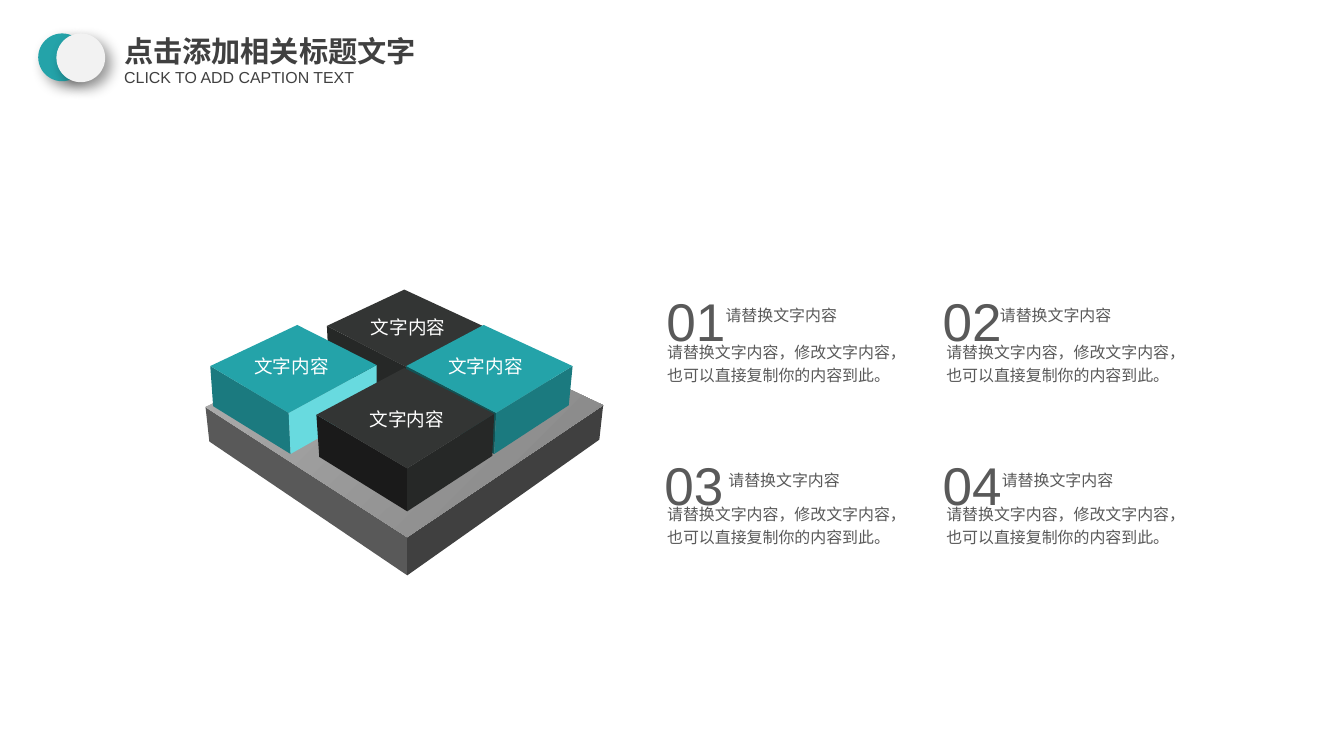
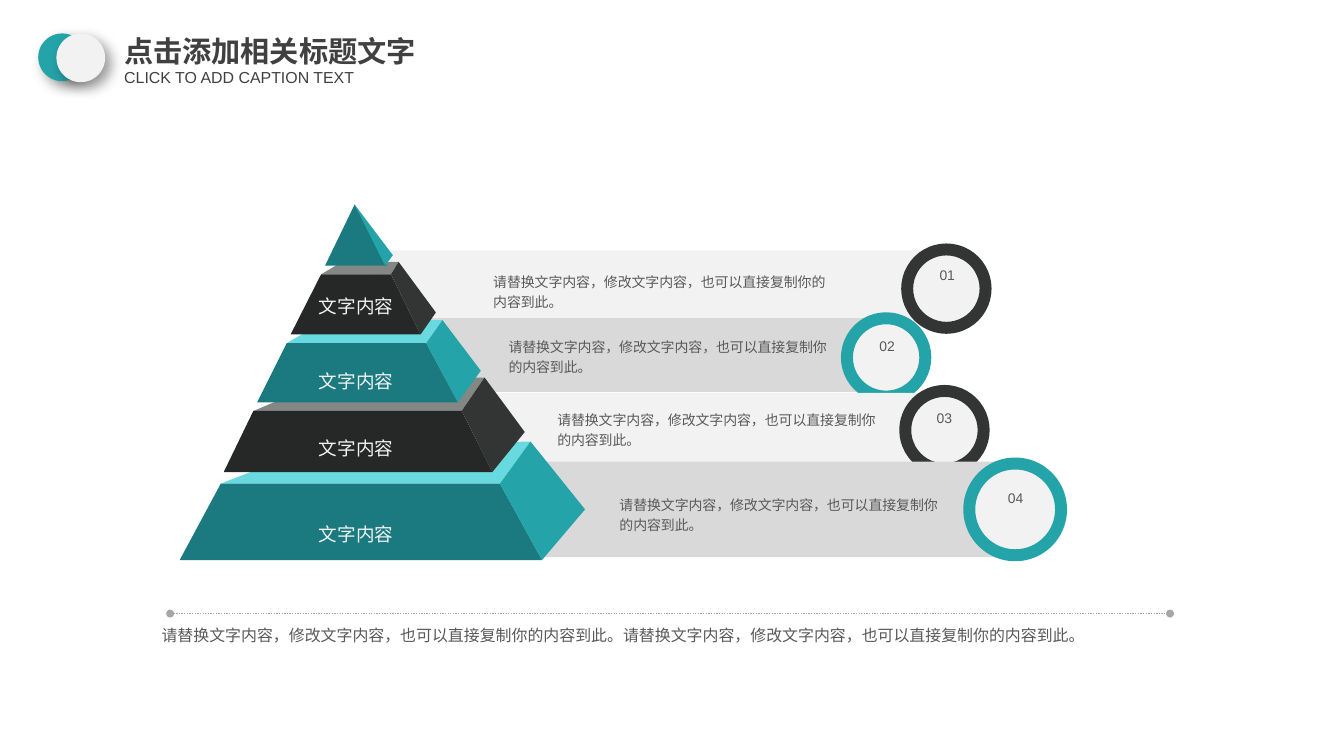
import lxml.etree
import pptx
import pptx.dml.color
import pptx.enum.dml
import pptx.enum.shapes
import pptx.enum.text
import pptx.oxml
import pptx.oxml.ns
import pptx.util

Inches = pptx.util.Inches
Pt = pptx.util.Pt
RGBColor = pptx.dml.color.RGBColor
Anchor = pptx.enum.text.MSO_ANCHOR
Align = pptx.enum.text.PP_ALIGN
Kind = pptx.enum.shapes.MSO_SHAPE
qn = pptx.oxml.ns.qn

TEAL = RGBColor(0x24, 0xA3, 0xA9)
DEEP_TEAL = RGBColor(0x1B, 0x7A, 0x7F)
DARK_TEAL = RGBColor(0x12, 0x52, 0x54)
PALE_TEAL = RGBColor(0x68, 0xDA, 0xDF)
COAL = RGBColor(0x33, 0x35, 0x34)
DEEP_COAL = RGBColor(0x26, 0x28, 0x27)
DARK_COAL = RGBColor(0x1A, 0x1A, 0x1A)
PALE_COAL = RGBColor(0x83, 0x88, 0x85)
INK = RGBColor(0x59, 0x59, 0x59)
TITLE = RGBColor(0x40, 0x40, 0x40)
RULE = RGBColor(0xA6, 0xA6, 0xA6)
SILVER = RGBColor(0xD9, 0xD9, 0xD9)
MIST = RGBColor(0xF2, 0xF2, 0xF2)
WHITE = RGBColor(0xFF, 0xFF, 0xFF)
PLATE = (RGBColor(0xB0, 0xB0, 0xB0), RGBColor(0x82, 0x82, 0x82), 315)
SHADE = (RGBColor(0x5E, 0x5E, 0x5E), RGBColor(0x7F, 0x7F, 0x7F), 270)

LABEL = "文字内容"
HEAD = "请替换文字内容"
BODY = "请替换文字内容，修改文字内容，也可以直接复制你的内容到此。"

SHADOW = (
    '<a:effectLst xmlns:a="http://schemas.openxmlformats.org/drawingml/2006/main">'
    '<a:outerShdw blurRad="127000" dist="76200" dir="2700000" algn="tl" rotWithShape="0">'
    '<a:srgbClr val="000000"><a:alpha val="40000"/></a:srgbClr>'
    "</a:outerShdw></a:effectLst>"
)


class Deck:
    """Holds the style, the file and the slide being filled."""

    font = "Arial"

    def __init__(self, wide, high):
        self.file = pptx.Presentation()
        self.file.slide_width = Inches(wide)
        self.file.slide_height = Inches(high)
        self.slide = None

    def start(self):
        """Adds a blank slide and makes it the current one."""
        self.slide = self.file.slides.add_slide(self.file.slide_layouts[6])

    def paint(self, shape, fill):
        """Fills with one colour, or with (first, last, angle), and drops the outline."""
        shape.shadow.inherit = False
        shape.line.fill.background()
        if isinstance(fill, RGBColor):
            shape.fill.solid()
            shape.fill.fore_color.rgb = fill
            return
        *ends, angle = fill
        shape.fill.gradient()
        shape.fill.gradient_angle = angle
        for stop, color in zip(shape.fill.gradient_stops, ends):
            stop.color.rgb = color

    def shape(self, kind, box, fill):
        item = self.slide.shapes.add_shape(kind, *map(Inches, box))
        self.paint(item, fill)
        return item

    def face(self, fill, *points):
        """Draws a closed polygon."""
        first, *rest = [tuple(map(Inches, point)) for point in points]
        pen = self.slide.shapes.build_freeform(*first)
        pen.add_line_segments(rest, close=True)
        self.paint(pen.convert_to_shape(), fill)

    def text(self, words, box, size, color=INK, align=Align.LEFT, wrap=True,
             bold=False, space=1.2, anchor=Anchor.TOP):
        frame = self.slide.shapes.add_textbox(*map(Inches, box)).text_frame
        line = frame.paragraphs[0]
        line.text = words
        looks = {
            frame: dict(margin_left=0, margin_top=0, margin_right=0, margin_bottom=0,
                        word_wrap=wrap, vertical_anchor=anchor,
                        auto_size=pptx.enum.text.MSO_AUTO_SIZE.SHAPE_TO_FIT_TEXT),
            line: dict(alignment=align, line_spacing=space),
            line.runs[0].font: dict(name=self.font, size=Pt(size), bold=bold),
        }
        for part, values in looks.items():
            for key, value in values.items():
                setattr(part, key, value)
        line.runs[0].font.color.rgb = color

    def title(self):
        """Draws the two discs and the title pair at the top left."""
        for box, fill in (((0.4, 0.35, 0.5, 0.5), TEAL), ((0.59, 0.35, 0.51, 0.51), MIST)):
            props = self.shape(Kind.OVAL, box, fill).element.spPr
            props.replace(props.find(qn("a:effectLst")), pptx.oxml.parse_xml(SHADOW))
        self.text("点击添加相关标题文字", (1.3, 0.35, 3.33, 0.37), 22, TITLE, bold=True, space=1)
        self.text("CLICK TO ADD CAPTION TEXT", (1.3, 0.71, 3.33, 0.2), 12, TITLE, space=1)

    def block(self, fills, top, base):
        """Draws a box from its top corners (left, front, right, back) and three base ones."""
        left, front, right, back = top
        low_left, low_front, low_right = base
        self.face(fills[0], left, front, low_front, low_left)
        self.face(fills[1], front, right, low_right, low_front)
        self.face(fills[2], back, left, front, right)

    def tier(self, fills, front, rear):
        """Draws a pyramid layer: ledge, front and right side."""
        low_left, low_right, top_right, top_left = front
        tip, back, nook = rear
        self.face(fills[0], top_left, top_right, back, nook)
        self.face(fills[1], *front)
        self.face(fills[2], low_right, tip, back, top_right)

    def card(self, mark, mark_at, head_at, body_at):
        self.text(HEAD, (*head_at, 1.18, 0.22), 12, wrap=False)
        self.text(mark, (*mark_at, 0.62, 0.73), 40, wrap=False)
        self.text(BODY, (*body_at, 2.5, 0.46), 12)

    def band(self, mark, bar, fill, note, ring, edge, spot):
        """Draws a grey bar with its note and a numbered ring at the end."""
        self.shape(Kind.RECTANGLE, bar, fill)
        self.text(BODY, (*note, 0.41), 10.5)
        left, top, size = ring
        disc = self.shape(Kind.OVAL, (left, top, size, size), MIST)
        disc.line.color.rgb = edge
        disc.line.width = Pt(9)
        self.text(mark, (*spot, 0.21), 10.5, align=Align.CENTER)

    def rule(self, left, right, top):
        """Draws a dotted line with round ends."""
        line = self.slide.shapes.add_connector(
            pptx.enum.shapes.MSO_CONNECTOR.STRAIGHT, *map(Inches, (left, top, right, top)))
        line.line.color.rgb = RULE
        line.line.width = Pt(1)
        line.line.dash_style = pptx.enum.dml.MSO_LINE.ROUND_DOT
        props = line.element.spPr
        for end in ("a:headEnd", "a:tailEnd"):
            lxml.etree.SubElement(props.find(qn("a:ln")), qn(end)).set("type", "oval")
        lxml.etree.SubElement(props, qn("a:effectLst"))


# Fills (left, right, top), top corners, base corners, label box
BLOCKS = (
    ((INK, TITLE, PLATE),
     ((2.15, 4.26), (4.26, 5.62), (6.31, 4.24), (4.21, 3.25)),
     ((2.19, 4.62), (4.26, 6.02), (6.27, 4.6)), None),
    ((DEEP_COAL, SHADE, COAL),
     ((3.42, 3.41), (4.25, 3.84), (5.05, 3.41), (4.23, 3.03)),
     ((3.44, 3.81), (4.25, 4.26), (5.03, 3.81)), (3.69, 3.26, 1.16, 0.26)),
    ((DEEP_TEAL, PALE_TEAL, TEAL),
     ((2.2, 3.83), (3.02, 4.32), (3.94, 3.82), (3.11, 3.4)),
     ((2.23, 4.25), (3.04, 4.75), (3.94, 4.24)), (2.66, 3.67, 0.78, 0.26)),
    ((DARK_TEAL, DEEP_TEAL, TEAL),
     ((4.25, 3.83), (5.19, 4.32), (5.99, 3.83), (5.06, 3.4)),
     ((4.25, 4.25), (5.17, 4.75), (5.95, 4.24)), (4.54, 3.67, 1.08, 0.26)),
    ((DARK_COAL, DEEP_COAL, COAL),
     ((3.31, 4.34), (4.26, 4.9), (5.17, 4.33), (4.23, 3.85)),
     ((3.34, 4.78), (4.26, 5.35), (5.15, 4.77)), (3.68, 4.22, 1.15, 0.26)),
)

# Number, then places of number, heading and body
CARDS = (
    ("01", (6.97, 2.88), (7.59, 3.16), (6.98, 3.55)),
    ("02", (9.86, 2.88), (10.46, 3.16), (9.9, 3.55)),
    ("03", (6.95, 4.6), (7.62, 4.88), (6.98, 5.24)),
    ("04", (9.86, 4.6), (10.48, 4.88), (9.9, 5.24)),
)

# Number, bar, bar fill, note, ring, ring colour, number place
BANDS = (
    ("01", (3.88, 2.62, 5.81, 0.77), MIST, (5.16, 2.83, 3.55),
     (9.49, 2.61, 0.82), COAL, (9.61, 2.75, 0.6)),
    ("02", (4.38, 3.33, 4.88, 0.77), SILVER, (5.32, 3.51, 3.4),
     (8.86, 3.33, 0.82), TEAL, (8.98, 3.5, 0.6)),
    ("03", (4.94, 4.11, 4.74, 0.75), MIST, (5.83, 4.27, 3.4),
     (9.47, 4.09, 0.82), COAL, (9.58, 4.25, 0.6)),
    ("04", (5.66, 4.83, 4.89, 1), SILVER, (6.48, 5.16, 3.38),
     (10.14, 4.85, 0.96), TEAL, (10.3, 5.09, 0.65)),
)

TEALS = (PALE_TEAL, DEEP_TEAL, TEAL)
COALS = (PALE_COAL, DEEP_COAL, COAL)

# Fills, front corners, rear corners (tip, back, nook), label top and anchor
TIERS = (
    (TEALS, ((1.88, 5.86), (5.67, 5.86), (5.23, 5.06), (2.31, 5.06)),
     ((6.12, 5.33), (5.55, 4.62), (3.32, 4.67)), 5.43, Anchor.MIDDLE),
    (COALS, ((2.34, 4.94), (5.15, 4.94), (4.83, 4.3), (2.65, 4.3)),
     ((5.49, 4.52), (5.07, 3.95), (3.41, 3.98)), 4.53, Anchor.MIDDLE),
    (TEALS, ((2.69, 4.21), (4.79, 4.21), (4.46, 3.59), (3, 3.59)),
     ((5.03, 3.88), (4.63, 3.35), (3.4, 3.36)), 3.82, Anchor.TOP),
    (COALS, ((3.04, 3.5), (4.4, 3.5), (4.09, 2.87), (3.36, 2.87)),
     ((4.56, 3.27), (4.17, 2.74), (3.56, 2.75)), 3.04, Anchor.TOP),
)


def cubes(deck):
    deck.start()
    for fills, top, base, label in BLOCKS:
        deck.block(fills, top, base)
        if label:
            deck.text(LABEL, label, 14, WHITE, Align.CENTER)
    for card in CARDS:
        deck.card(*card)
    deck.title()


def pyramid(deck):
    deck.start()
    for band in BANDS:
        deck.band(*band)
    deck.text(BODY * 2, (1.69, 6.51, 10.7, 0.22), 12)
    deck.rule(1.78, 12.24, 6.42)
    for fills, front, rear, top, anchor in TIERS:
        deck.tier(fills, front, rear)
        deck.text(LABEL, (3.33, top, 0.79, 0.26), 14, MIST, Align.CENTER,
                  wrap=False, anchor=anchor)
    peak = (3.71, 2.14)
    deck.face(DEEP_TEAL, (3.4, 2.78), (4.05, 2.78), peak)
    deck.face(TEAL, (4.03, 2.78), (4.11, 2.67), peak)
    deck.title()


def main():
    deck = Deck(14.06, 7.91)
    cubes(deck)
    pyramid(deck)
    deck.file.save("out.pptx")


if __name__ == "__main__":
    main()
